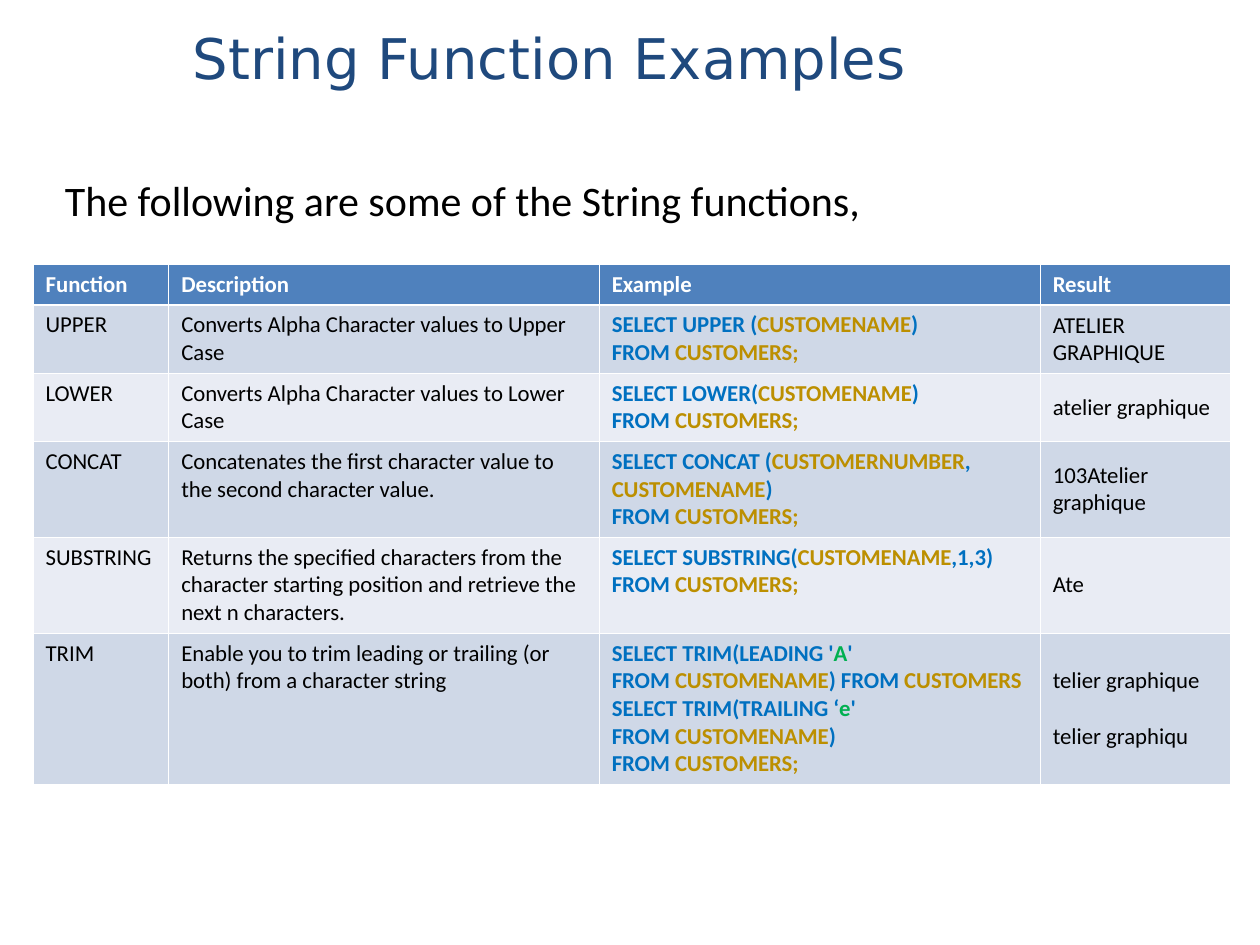
from lxml import etree
from pptx import Presentation
from pptx.dml.color import RGBColor
from pptx.enum.text import MSO_ANCHOR, PP_ALIGN
from pptx.oxml.ns import qn
from pptx.util import Pt

LEFT = PP_ALIGN.LEFT
TOP, MIDDLE = MSO_ANCHOR.TOP, MSO_ANCHOR.MIDDLE

NAVY = RGBColor(0x1F, 0x49, 0x7D)
BLACK = RGBColor(0, 0, 0)
WHITE = RGBColor(255, 255, 255)
HEADER_BLUE = RGBColor(0x4F, 0x81, 0xBD)
BANDS = (RGBColor(0xCF, 0xD8, 0xE7), RGBColor(0xE9, 0xEC, 0xF4))
KEYWORD = RGBColor(0x00, 0x70, 0xC0)
NAME = RGBColor(0xBC, 0x8F, 0x00)
LITERAL = RGBColor(0x00, 0xB0, 0x50)

# Content: each SQL line is a list of (text, colour) spans
TITLE = "String Function Examples"
INTRO = "The following are some of the String functions,"
HEADERS = ("Function", "Description", "Example", "Result")
CUSTOMER = ("CUSTOMENAME", NAME)
CLOSE = (")", KEYWORD)
FROM = ("FROM ", KEYWORD)
FROM_CUSTOMERS = [FROM, ("CUSTOMERS;", NAME)]
FUNCTIONS = [
    ("UPPER", "Converts Alpha Character values to Upper Case",
     [[("SELECT UPPER (", KEYWORD), CUSTOMER, CLOSE], FROM_CUSTOMERS],
     ["ATELIER GRAPHIQUE"]),
    ("LOWER", "Converts Alpha Character values to Lower Case",
     [[("SELECT LOWER(", KEYWORD), CUSTOMER, CLOSE], FROM_CUSTOMERS],
     ["atelier graphique"]),
    ("CONCAT", "Concatenates the first character value to the second character value.",
     [[("SELECT CONCAT (", KEYWORD), ("CUSTOMERNUMBER", NAME), (", ", KEYWORD),
       CUSTOMER, CLOSE], FROM_CUSTOMERS],
     ["103Atelier graphique"]),
    ("SUBSTRING", "Returns the specified characters from the character starting "
     "position and retrieve the next n characters.",
     [[("SELECT SUBSTRING(", KEYWORD), CUSTOMER, (",1,3)", KEYWORD)], FROM_CUSTOMERS],
     ["Ate"]),
    ("TRIM", "Enable you to trim leading or trailing (or both) from a character string",
     [[("SELECT TRIM(LEADING '", KEYWORD), ("A", LITERAL), ("'", KEYWORD)],
      [FROM, CUSTOMER, (") FROM ", KEYWORD), ("CUSTOMERS", NAME)],
      [("SELECT TRIM(TRAILING ‘", KEYWORD), ("e", LITERAL), ("'", KEYWORD)],
      [FROM, CUSTOMER, CLOSE], FROM_CUSTOMERS],
     ["telier graphique", "telier graphiqu"]),
]

# Layout in points
TABLE_LEFT, TABLE_TOP = 18.9, 151.2
COLUMN_WIDTHS = (77.5, 246, 252, 108.5)
ROW_HEIGHTS = (23, 39, 39, 54, 54, 86)
THIN, THICK = 0.45, 1.47
RESULT_GAP = 16


def write(frame, lines, size, font, bold=False, gap=0):
    """Fill a frame with paragraphs made of (text, colour) spans."""
    for index, line in enumerate(lines):
        para = frame.add_paragraph() if index else frame.paragraphs[0]
        para.alignment = LEFT
        para.space_before = Pt(gap if index else 0)
        for text, color in line:
            span = para.add_run()
            span.text = text
            span.font.color.rgb = color
            formats = {"size": Pt(size), "name": font, "bold": bold}
            for key, value in formats.items():
                setattr(span.font, key, value)


def place(box, left, top, width, height):
    bounds = {"left": left, "top": top, "width": width, "height": height}
    for key, value in bounds.items():
        setattr(box, key, Pt(value))


def add_border(cell, side, width):
    line = etree.SubElement(cell._tc.get_or_add_tcPr(), qn("a:" + side), w=str(Pt(width)))
    fill = etree.SubElement(line, qn("a:solidFill"))
    etree.SubElement(fill, qn("a:srgbClr"), val=str(WHITE))


def fill_cell(cell, row, lines, color, bold=False, anchor=TOP):
    # Borders come before the fill in the cell properties
    widths = {"lnL": THIN, "lnR": THIN,
              "lnT": THICK if row == 1 else THIN,
              "lnB": THICK if row == 0 else THIN}
    for side, width in widths.items():
        add_border(cell, side, width)
    cell.fill.solid()
    cell.fill.fore_color.rgb = color
    cell.vertical_anchor = anchor
    write(cell.text_frame, lines, 13, "Calibri", bold, RESULT_GAP if anchor == MIDDLE else 0)


deck = Presentation()
deck.slide_width, deck.slide_height = Pt(720), Pt(540)
page = deck.slides.add_slide(deck.slide_layouts[5])

# Title
title = page.shapes.title
place(title, 103, -12.2, 653, 90)
title.text_frame.vertical_anchor = MIDDLE
write(title.text_frame, [[(TITLE, NAVY)]], 32, "DejaVu Sans")

# Function table
table = page.shapes.add_table(
    len(ROW_HEIGHTS), len(COLUMN_WIDTHS), Pt(TABLE_LEFT), Pt(TABLE_TOP),
    Pt(sum(COLUMN_WIDTHS)), Pt(sum(ROW_HEIGHTS))).table
for column, width in zip(table.columns, COLUMN_WIDTHS):
    column.width = Pt(width)
for table_row, height in zip(table.rows, ROW_HEIGHTS):
    table_row.height = Pt(height)
for column, header in enumerate(HEADERS):
    fill_cell(table.cell(0, column), 0, [[(header, WHITE)]], HEADER_BLUE, bold=True)
for row, (function, description, example, results) in enumerate(FUNCTIONS, 1):
    band = BANDS[(row - 1) % 2]
    fill_cell(table.cell(row, 0), row, [[(function, BLACK)]], band)
    fill_cell(table.cell(row, 1), row, [[(description, BLACK)]], band)
    fill_cell(table.cell(row, 2), row, example, band, bold=True)
    fill_cell(table.cell(row, 3), row, [[(result, BLACK)] for result in results],
              band, anchor=MIDDLE)

# Introductory line
intro = page.shapes.add_textbox(Pt(30), Pt(96), Pt(606), Pt(36))
intro.text_frame.word_wrap = True
write(intro.text_frame, [[(INTRO, BLACK)]], 24, "Calibri")

deck.save("out.pptx")
